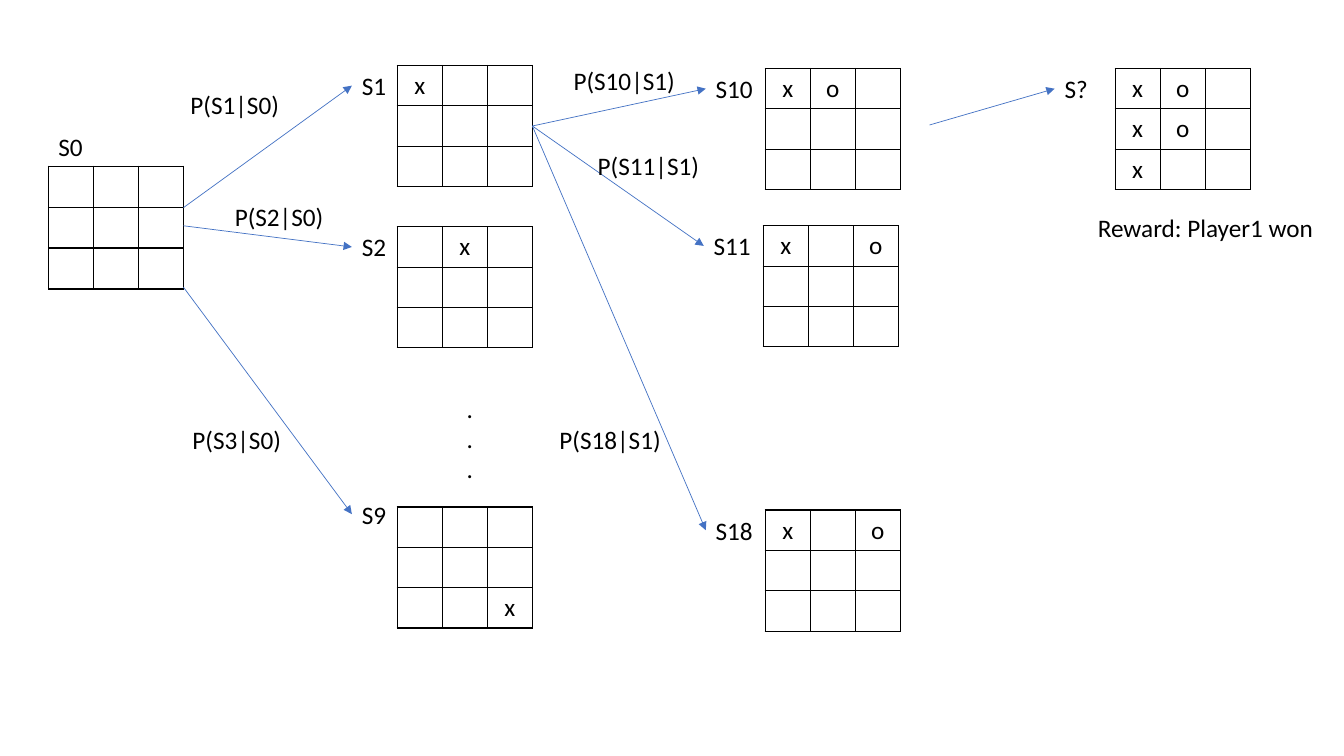
from lxml import etree
from pptx import Presentation
from pptx.dml.color import RGBColor
from pptx.enum.shapes import MSO_CONNECTOR
from pptx.enum.text import MSO_AUTO_SIZE, PP_ALIGN
from pptx.oxml.ns import qn
from pptx.util import Inches, Pt

STRAIGHT = MSO_CONNECTOR.STRAIGHT
CENTER = PP_ALIGN.CENTER
GROW = MSO_AUTO_SIZE.SHAPE_TO_FIT_TEXT
BLACK = RGBColor(0x00, 0x00, 0x00)
BLUE = RGBColor(0x44, 0x72, 0xC4)
FONT_FORMAT = {"name": "Calibri", "size": Pt(18)}
PLAIN_GRID = {"first_row": False, "horz_banding": False}
SIDE = 3
BOARD_W, BOARD_H = 1.34, 1.2
LABEL_H = 0.4
START, FIRST_MOVE, REPLY, END = 0.48, 3.94, 7.59, 11.06
TOP, MIDDLE, BOTTOM = 0.68, 2.24, 5.06

presentation = Presentation()
presentation.slide_width = Inches(13.33)
presentation.slide_height = Inches(7.5)
slide = presentation.slides.add_slide(presentation.slide_layouts[6])


def write(paragraph, words):
    run = paragraph.add_run()
    run.text = words
    for attribute, value in FONT_FORMAT.items():
        setattr(run.font, attribute, value)
    run.font.color.rgb = BLACK


def add_label(left, top, width, lines, height=LABEL_H):
    label = slide.shapes.add_textbox(*map(Inches, (left, top, width, height)))
    frame = label.text_frame
    frame.word_wrap = False
    frame.auto_size = GROW
    for index, words in enumerate(lines):
        write(frame.add_paragraph() if index else frame.paragraphs[0], words)


states = [
    ("S0", START, 1.65, 0, -LABEL_H, 0.45, ["   ", "   ", "   "]),
    ("S1", FIRST_MOVE, 0.65, -0.45, 0, 0.45, ["x  ", "   ", "   "]),
    ("S2", FIRST_MOVE, 2.25, -0.45, 0, 0.45, [" x ", "   ", "   "]),
    ("S9", FIRST_MOVE, 5.03, -0.45, -0.13, 0.45, ["   ", "   ", "  x"]),
    ("S10", REPLY, TOP, -0.59, 0, 0.57, ["xo ", "   ", "   "]),
    ("S11", REPLY - 0.02, MIDDLE, -0.59, 0, 0.57, ["x o", "   ", "   "]),
    ("S18", REPLY, BOTTOM, -0.59, 0, 0.57, ["x o", "   ", "   "]),
    ("S?", END, TOP, -0.6, 0, 0.44, ["xo ", "xo ", "x  "]),
]
arrow_targets = {}
for state, left, top, label_dx, label_dy, label_width, marks in states:
    board = slide.shapes.add_table(
        SIDE, SIDE, *map(Inches, (left, top, BOARD_W, BOARD_H))
    ).table
    for attribute, value in PLAIN_GRID.items():
        setattr(board, attribute, value)
    for row, line in enumerate(marks):
        for column, mark in enumerate(line):
            cell = board.cell(row, column)
            cell.fill.background()
            paragraph = cell.text_frame.paragraphs[0]
            paragraph.alignment = CENTER
            if mark.strip():
                write(paragraph, mark)
            properties = cell._tc.get_or_add_tcPr()
            for position, side in enumerate(("a:lnL", "a:lnR", "a:lnT", "a:lnB")):
                border = etree.Element(qn(side), w=str(Pt(1)))
                fill = etree.SubElement(border, qn("a:solidFill"))
                etree.SubElement(fill, qn("a:srgbClr"), val=str(BLACK))
                properties.insert(position, border)
    add_label(left + label_dx, top + label_dy, label_width, [state])
    arrow_targets[state] = (left + label_dx, top + label_dy + LABEL_H / 2)

start_edge = START + BOARD_W
move_exit = (FIRST_MOVE + BOARD_W, 0.65 + BOARD_H / 2)
transitions = [
    ("S1", (start_edge, 2.06)),
    ("S2", (start_edge, 2.24)),
    ("S9", (start_edge, 1.65 + BOARD_H)),
    ("S10", move_exit),
    ("S11", move_exit),
    ("S18", move_exit),
    ("S?", (9.22, 1.24)),
]
for state, origin in transitions:
    arrow = slide.shapes.add_connector(
        STRAIGHT, *map(Inches, origin + arrow_targets[state])
    )
    arrow.line.color.rgb = BLUE
    arrow.line.width = Pt(0.5)
    etree.SubElement(arrow.line._get_or_add_ln(), qn("a:tailEnd"), type="triangle")
    etree.SubElement(arrow._element.spPr, qn("a:effectLst"))

captions = [
    ("P(S1|S0)", 1.79, 0.84, 1.09),
    ("P(S2|S0)", 2.23, 1.95, 1.09),
    ("P(S3|S0)", 1.81, 4.16, 1.09),
    ("P(S10|S1)", 5.59, 0.6, 1.22),
    ("P(S11|S1)", 5.83, 1.44, 1.22),
    ("P(S18|S1)", 5.45, 4.16, 1.22),
    ("Reward: Player1 won", 10.79, 2.06, 2.36),
]
for words, left, top, width in captions:
    add_label(left, top, width, [words])
add_label(4.53, 3.85, 0.27, ["."] * SIDE, 1.01)

presentation.save("out.pptx")
